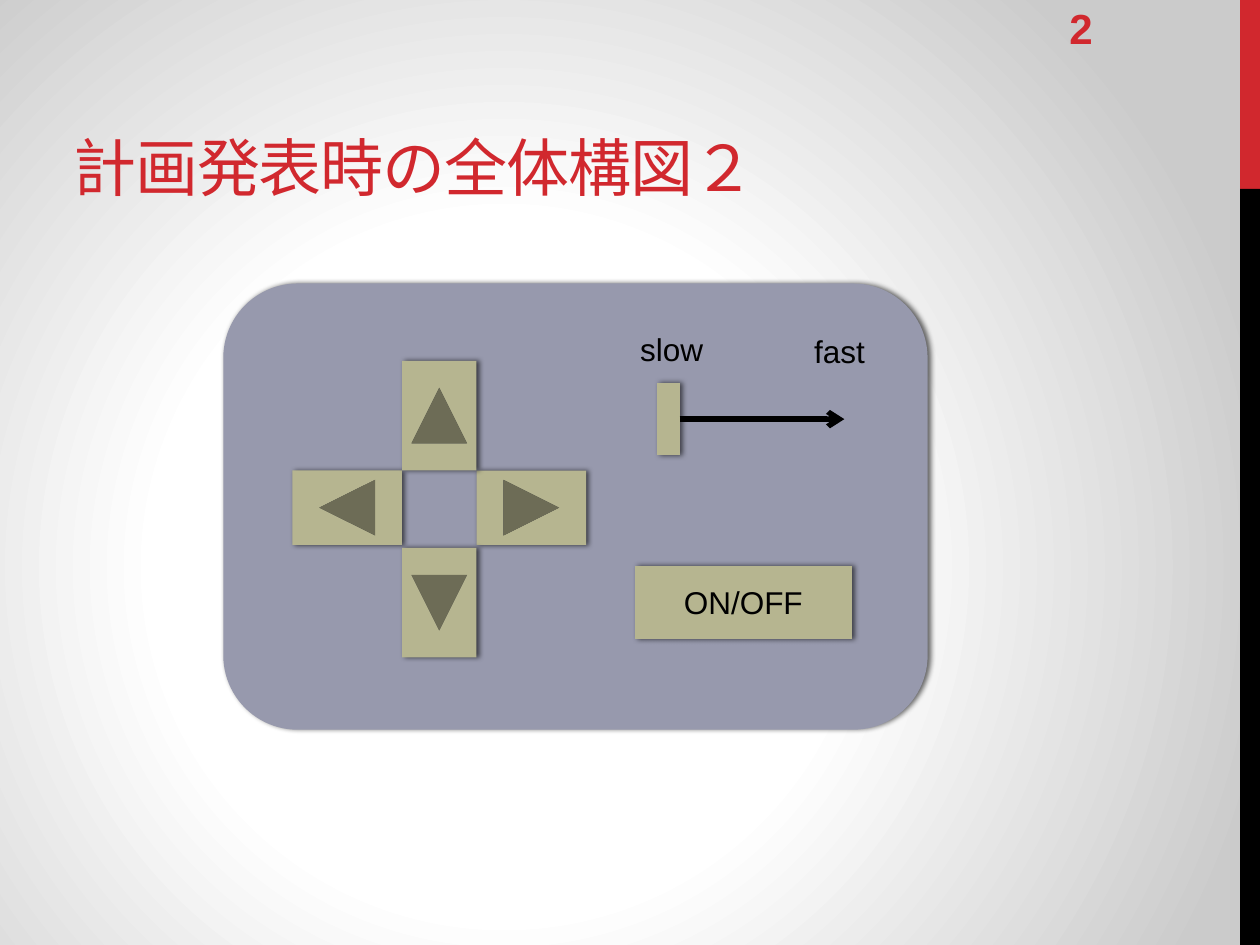
from pptx import Presentation
from pptx.dml.color import RGBColor
from pptx.enum.shapes import MSO_CONNECTOR, MSO_SHAPE
from pptx.enum.text import MSO_ANCHOR, PP_ALIGN
from pptx.oxml import parse_xml
from pptx.oxml.ns import nsdecls, qn
from pptx.util import Pt
from lxml import etree

RED, BLACK, PANEL, BUTTON = "D1282E", "000000", "9799AD", "B6B590"


def color(hex_string):
    return RGBColor.from_string(hex_string)


def add_run(paragraph, text, size, hex_string, font="Arial", bold=False):
    run = paragraph.add_run()
    run.text = text
    run.font.name = font
    run.font.size = Pt(size)
    run.font.bold = bold
    run.font.color.rgb = color(hex_string)
    return run


def add_block(slide, kind, box, hex_string, shadow=True):
    shape = slide.shapes.add_shape(kind, *map(Pt, box))
    shape.shadow.inherit = False
    shape.fill.solid()
    shape.fill.fore_color.rgb = color(hex_string)
    shape.line.fill.background()
    if shadow:
        effects = shape.element.spPr.find(qn("a:effectLst"))
        effects.append(parse_xml(
            f'<a:outerShdw {nsdecls("a")} blurRad="{Pt(3)}" dist="{Pt(1.5)}" '
            'dir="0" rotWithShape="0"><a:srgbClr val="000000">'
            '<a:alpha val="60000"/></a:srgbClr></a:outerShdw>'))
    return shape


def add_label(slide, box, text, size=18, hex_string=BLACK, bold=False):
    text_box = slide.shapes.add_textbox(*map(Pt, box))
    frame = text_box.text_frame
    frame.word_wrap = True
    frame.vertical_anchor = MSO_ANCHOR.MIDDLE
    add_run(frame.paragraphs[0], text, size, hex_string, bold=bold)


def set_background(slide):
    fill = slide.background.fill
    fill.solid()
    solid = slide.element.find(".//" + qn("p:bgPr")).find(qn("a:solidFill"))
    stops = "".join(
        f'<a:gs pos="{position * 1000}"><a:srgbClr val="{value}"/></a:gs>'
        for position, value in ((0, "FFFFFF"), (44, "FFFFFF"), (100, "CBCBCB")))
    solid.getparent().replace(solid, parse_xml(
        f'<a:gradFill {nsdecls("a")} rotWithShape="1"><a:gsLst>{stops}</a:gsLst>'
        '<a:path path="circle"><a:fillToRect l="40000" t="60000" r="60000" '
        'b="40000"/></a:path></a:gradFill>'))


def add_side_bar(slide, left, top, width, height):
    red_height = height / 5
    add_block(slide, MSO_SHAPE.RECTANGLE, (left, top, width, red_height), RED, False)
    add_block(slide, MSO_SHAPE.RECTANGLE,
              (left, top + red_height, width, height - red_height), BLACK, False)


def set_title(slide, left, top, width, height):
    title = slide.shapes.title
    title.left, title.top, title.width, title.height = map(Pt, (left, top, width, height))
    frame = title.text_frame
    frame.word_wrap = True
    frame.vertical_anchor = MSO_ANCHOR.BOTTOM
    paragraph = frame.paragraphs[0]
    paragraph.alignment = PP_ALIGN.LEFT
    run = add_run(paragraph, "計画発表時の全体構図２", 36, RED, "Montserrat")
    run.font._element.set("spc", "-60")


def add_direction_pad(slide, left, top, width, height):
    button_width, button_height = 62.6, 42.5
    center_x = left + width / 2
    reach_x = (width - button_width) / 2
    reach_up = reach_x
    center_y = top + button_width / 2 + reach_up
    reach_down = top + height - button_width / 2 - center_y
    # Left, right, down, up: the arrow points left before rotation
    for x, y, rotation in ((-reach_x, 0, 0), (reach_x, 0, 180),
                           (0, reach_down, 270), (0, -reach_up, 90)):
        button = add_block(
            slide, MSO_SHAPE.ACTION_BUTTON_BACK_OR_PREVIOUS,
            (center_x + x - button_width / 2, center_y + y - button_height / 2,
             button_width, button_height), BUTTON)
        button.rotation = rotation


def add_speed_slider(slide, left, top, width, height):
    knob_width, knob_height = 13, 41
    knob_top = top + height - knob_height
    middle = knob_top + knob_height / 2
    add_block(slide, MSO_SHAPE.ACTION_BUTTON_CUSTOM,
              (left, knob_top, knob_width, knob_height), BUTTON)
    add_label(slide, (left - 16.6, top, 72, 29), "slow")
    add_label(slide, (left + 82.8, top + 0.8, 50, 29), "fast")
    # Track with arrowhead
    track = slide.shapes.add_connector(
        MSO_CONNECTOR.STRAIGHT, Pt(left + knob_width), Pt(middle),
        Pt(left + width), Pt(middle))
    track.line.color.rgb = color(BLACK)
    track.line.width = Pt(3)
    etree.SubElement(track.line._get_or_add_ln(), qn("a:tailEnd"), type="arrow")
    etree.SubElement(track.element.spPr, qn("a:effectLst"))


def add_power_button(slide, left, top, width, height):
    button = add_block(slide, MSO_SHAPE.ACTION_BUTTON_CUSTOM,
                       (left, top, width, height), BUTTON)
    button.text_frame.vertical_anchor = MSO_ANCHOR.MIDDLE
    paragraph = button.text_frame.paragraphs[0]
    paragraph.alignment = PP_ALIGN.CENTER
    add_run(paragraph, "ON/OFF", 18, BLACK)


def add_controller(slide, left, top, width, height):
    add_block(slide, MSO_SHAPE.ROUNDED_RECTANGLE, (left, top, width, height), PANEL)
    add_direction_pad(slide, left + 39.5, top + 44.2, 167.8, 169.5)
    add_speed_slider(slide, left + 247.7, top + 23, 107.2, 75)
    add_power_button(slide, left + 235.3, top + 161.3, 123.8, 41.8)


def main():
    presentation = Presentation()
    presentation.slide_width, presentation.slide_height = Pt(720), Pt(540)
    slide = presentation.slides.add_slide(presentation.slide_layouts[5])
    set_background(slide)
    add_side_bar(slide, 708.6, 0, 11.4, 540)
    set_title(slide, 34.6, 66.2, 455.8, 54)
    add_controller(slide, 127.6, 162, 402.5, 255)
    # Page number
    add_label(slide, (604, 1.4, 103.7, 29), "2", 24, RED, bold=True)
    presentation.save("out.pptx")


if __name__ == "__main__":
    main()
